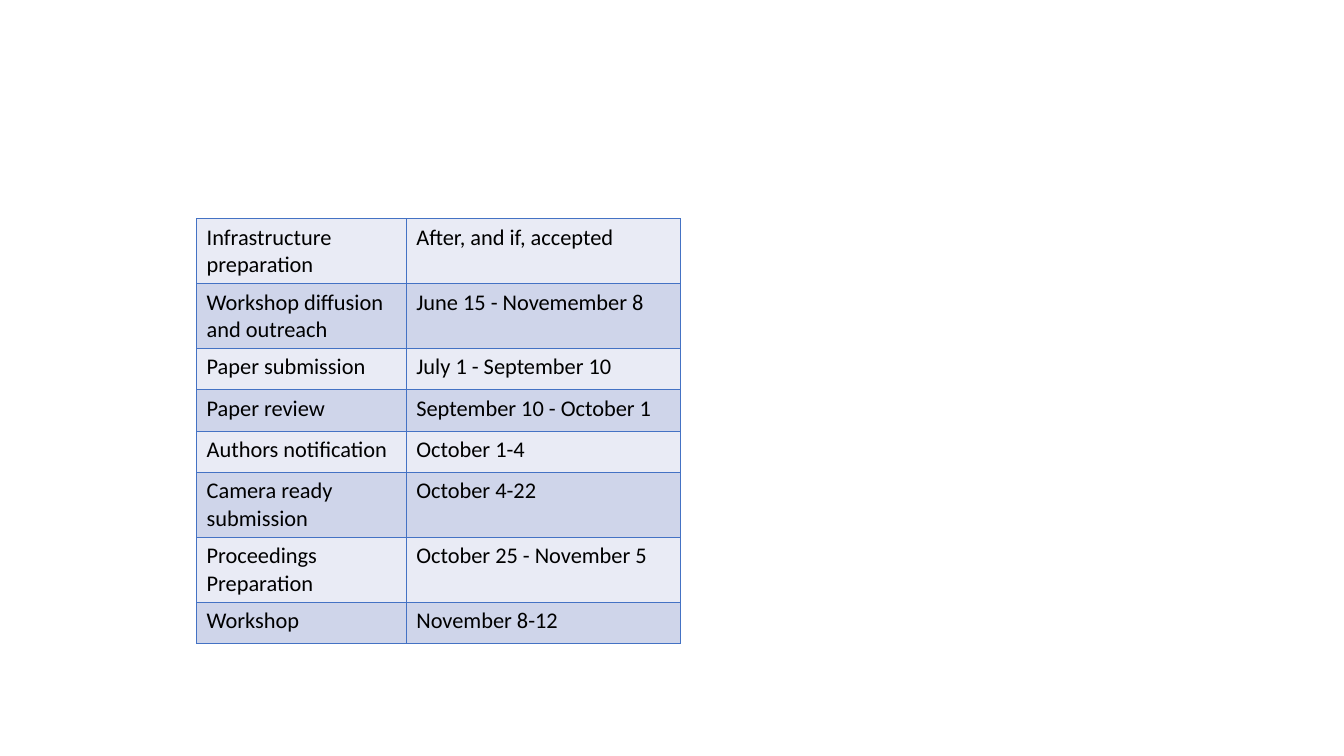
from pptx import Presentation
from pptx.dml.color import RGBColor
from pptx.oxml import parse_xml
from pptx.oxml.ns import nsdecls
from pptx.util import Pt

PX = 9144  # 100 px to the inch
BLACK = RGBColor(0x00, 0x00, 0x00)
BLUE = RGBColor(0x44, 0x72, 0xC4)
BANDS = RGBColor(0xE9, 0xEB, 0xF5), RGBColor(0xCF, 0xD5, 0xEA)

DATES = [
    ("Infrastructure preparation", "After, and if, accepted"),
    ("Workshop diffusion and outreach", "June 15 - Novemember 8"),
    ("Paper submission", "July 1 - September 10"),
    ("Paper review", "September 10 - October 1"),
    ("Authors notification", "October 1-4"),
    ("Camera ready submission", "October 4-22"),
    ("Proceedings Preparation", "October 25 - November 5"),
    ("Workshop", "November 8-12"),
]


def write(frame, words, size=16, font="Calibri", color=BLACK):
    run = frame.paragraphs[0].add_run()
    run.text = words
    run.font.size = Pt(size)
    run.font.name = font
    run.font.color.rgb = color


def edge(cell, color=BLUE, width=1):
    """Draw all four borders, which must precede the fill in the cell."""
    props = cell._tc.get_or_add_tcPr()
    for i, side in enumerate(("lnL", "lnR", "lnT", "lnB")):
        props.insert(i, parse_xml(
            f'<a:{side} {nsdecls("a")} w="{Pt(width)}"><a:solidFill>'
            f'<a:srgbClr val="{color}"/></a:solidFill></a:{side}>'))


def dates(slide, left, top, cols, high):
    """Place the table; rows with wrapped text grow beyond the height high."""
    frame = slide.shapes.add_table(
        len(DATES), len(cols), left * PX, top * PX,
        sum(cols) * PX, high * len(DATES) * PX)
    table = frame.table
    table.first_row = False
    for col, wide in zip(table.columns, cols):
        col.width = wide * PX
    for r, row in enumerate(DATES):
        for c, words in enumerate(row):
            cell = table.cell(r, c)
            cell.fill.solid()
            cell.fill.fore_color.rgb = BANDS[r % 2]
            edge(cell)
            write(cell.text_frame, words)


def main():
    deck = Presentation()
    deck.slide_width, deck.slide_height = 1333 * PX, 750 * PX
    slide = deck.slides.add_slide(deck.slide_layouts[6])
    dates(slide, 195, 217, cols=(208, 272), high=41)
    deck.save("out.pptx")


if __name__ == "__main__":
    main()
